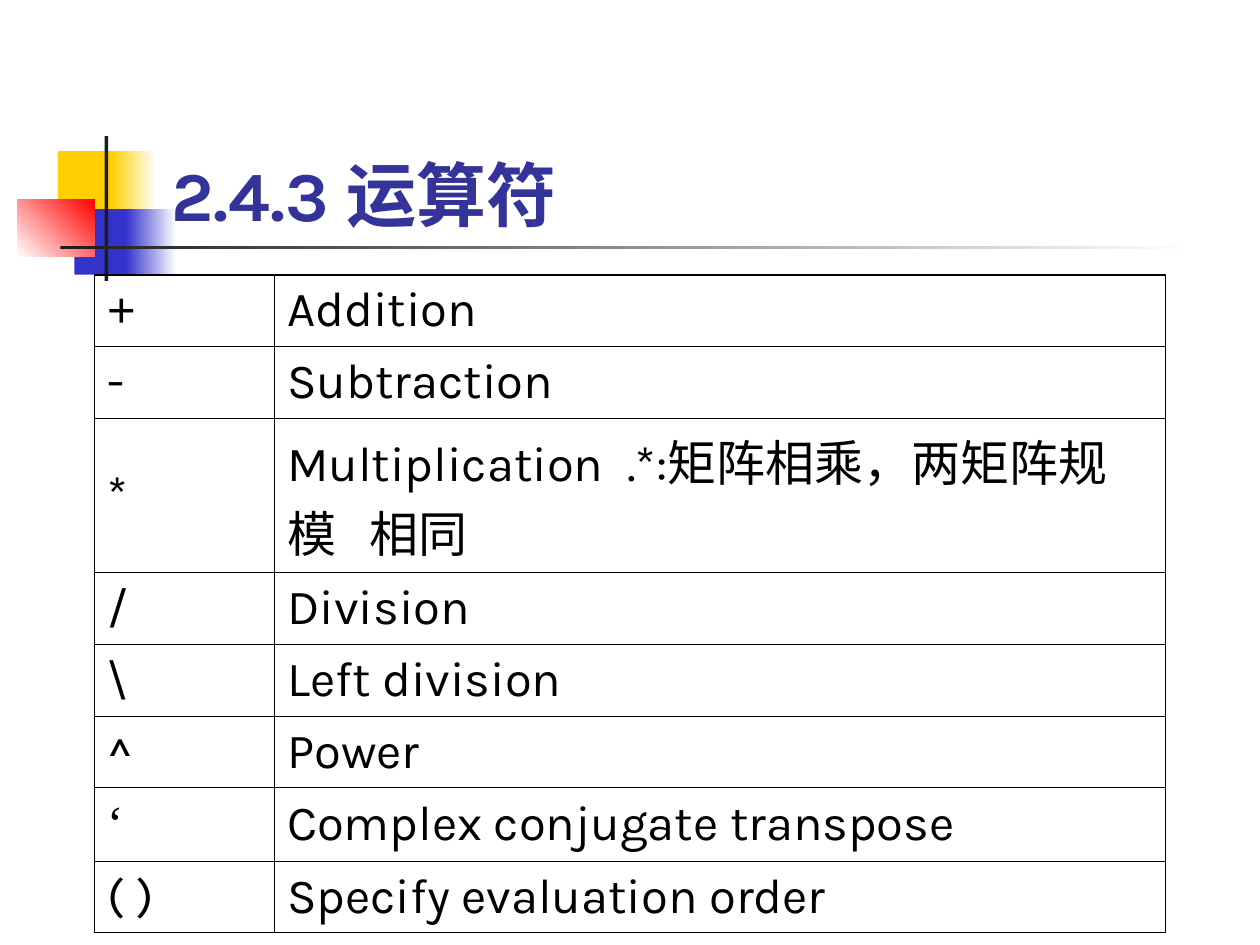
from lxml import etree
from pptx import Presentation
from pptx.dml.color import RGBColor
from pptx.enum.shapes import MSO_SHAPE
from pptx.enum.text import MSO_ANCHOR, MSO_AUTO_SIZE, PP_ALIGN
from pptx.oxml.ns import qn
from pptx.util import Emu, Pt

RECTANGLE = MSO_SHAPE.RECTANGLE
MIDDLE, BOTTOM = MSO_ANCHOR.MIDDLE, MSO_ANCHOR.BOTTOM
LEFT = PP_ALIGN.LEFT
NO_AUTOFIT = MSO_AUTO_SIZE.NONE

PX = 9144  # EMU in one px, 100 px to the inch
TITLE_ONLY = 5
THIN, THICK = 0.45, 1.08
COLORS = {
    "yellow": "FFCF01", "blue": "3333CC", "red": "FF0000", "white": "FFFFFF",
    "dark": "1C1C1C", "title": "333399", "black": "000000",
}

# Title ornament: position, colour or gradient pair, gradient angle
ORNAMENT = [
    ((46, 120, 48, 52), ["yellow"], 0),
    ((88, 120, 36, 52), ["yellow", "white"], 0),
    ((59, 166, 46, 52), ["blue"], 0),
    ((100, 166, 40, 52), ["blue", "white"], 0),
    ((14, 158, 61, 46), ["white", "red"], 45),
    ((83, 108, 3, 115), ["dark"], 0),
    ((48, 195, 900, 3), ["dark", "white"], 0),
]

# Each cell is a list of spans: text, extra letter spacing in points
OPERATORS = [
    ("+", [("Addition", 0)]),
    ("-", [("Subtraction", 0)]),
    ("*", [("Multiplication", 0), (" ", 7), (".*:矩阵相乘，两矩阵规模", 0),
           (" ", 13), ("相同", 0)]),
    ("/", [("Division", 0)]),
    ("\\", [("Left division", 0)]),
    ("^", [("Power", 0)]),
    ("‘", [("Complex conjugate transpose", 0)]),
    ("( )", [("Specify evaluation order", 0)]),
]
SYMBOL_FONTS = {"+": "Arial", "‘": "Times New Roman"}
COLUMN_WIDTHS = [143, 707]
ROW_HEIGHTS = [57, 57, 104, 57, 57, 57, 58, 57]


def rgb(name):
    return RGBColor.from_string(COLORS[name])


class SlideBuilder:
    font = "Karla"

    def __init__(self, slide):
        self.slide = slide

    def style(self, para, size, color, bold=False, font=None):
        para.alignment = LEFT
        para.font.name = font or self.font
        para.font.size = Pt(size)
        para.font.bold = bold
        para.font.color.rgb = rgb(color)

    def rectangle(self, place, colors, angle):
        box = self.slide.shapes.add_shape(RECTANGLE, *(Emu(v * PX) for v in place))
        box.shadow.inherit = False
        box.line.fill.background()
        if len(colors) == 1:
            box.fill.solid()
            box.fill.fore_color.rgb = rgb(colors[0])
            return
        box.fill.gradient()
        box.fill.gradient_angle = angle
        for stop, position, color in zip(box.fill.gradient_stops, (0, 1), colors):
            stop.position = position
            stop.color.rgb = rgb(color)

    def title(self, text, place):
        title = self.slide.shapes.title
        title.left, title.top, title.width, title.height = (Emu(v * PX) for v in place)
        frame = title.text_frame
        frame.text = text
        frame.word_wrap = True
        frame.auto_size = NO_AUTOFIT
        frame.vertical_anchor = BOTTOM
        self.style(frame.paragraphs[0], 40, "title", bold=True)
        # Bring the title in front of the ornament
        self.slide.shapes._spTree.append(title._element)

    def borders(self, cell, widths):
        properties = cell._tc.get_or_add_tcPr()
        for side, width in widths.items():
            line = etree.SubElement(properties, qn(f"a:ln{side}"), w=str(Pt(width)))
            fill = etree.SubElement(line, qn("a:solidFill"))
            etree.SubElement(fill, qn("a:srgbClr"), val=COLORS["black"])

    def cell(self, cell, spans, font):
        cell.fill.background()
        cell.vertical_anchor = MIDDLE
        para = cell.text_frame.paragraphs[0]
        self.style(para, 28, "black", font=font)
        for text, spacing in spans:
            span = para.add_run()
            span.text = text
            if spacing:
                span._r.get_or_add_rPr().set("spc", str(spacing * 100))

    def table(self, left, top, rows):
        frame = self.slide.shapes.add_table(
            len(rows), len(COLUMN_WIDTHS), Emu(left * PX), Emu(top * PX),
            Emu(sum(COLUMN_WIDTHS) * PX), Emu(sum(ROW_HEIGHTS) * PX))
        table = frame.table
        table.first_row = table.horz_banding = False
        for column, width in zip(table.columns, COLUMN_WIDTHS):
            column.width = Emu(width * PX)
        for row, height in zip(table.rows, ROW_HEIGHTS):
            row.height = Emu(height * PX)
        last_row, last_column = len(rows) - 1, len(COLUMN_WIDTHS) - 1
        for r, (symbol, meaning) in enumerate(rows):
            for c, spans in enumerate([[(symbol, 0)], meaning]):
                cell = table.cell(r, c)
                # Thick outer frame, thin inner lines
                self.borders(cell, {
                    "L": THICK if c == 0 else THIN,
                    "R": THICK if c == last_column else THIN,
                    "T": THICK if r == 0 else THIN,
                    "B": THICK if r == last_row else THIN,
                })
                self.cell(cell, spans, SYMBOL_FONTS.get(symbol) if c == 0 else None)


def main():
    deck = Presentation()
    deck.slide_width, deck.slide_height = Emu(1000 * PX), Emu(750 * PX)
    page = SlideBuilder(deck.slides.add_slide(deck.slide_layouts[TITLE_ONLY]))

    # Heading with its ornament
    for place, colors, angle in ORNAMENT:
        page.rectangle(place, colors, angle)
    page.title("2.4.3 运算符", (126, 67, 852, 125))

    # Operator table
    page.table(75, 218, OPERATORS)

    deck.save("out.pptx")


if __name__ == "__main__":
    main()
